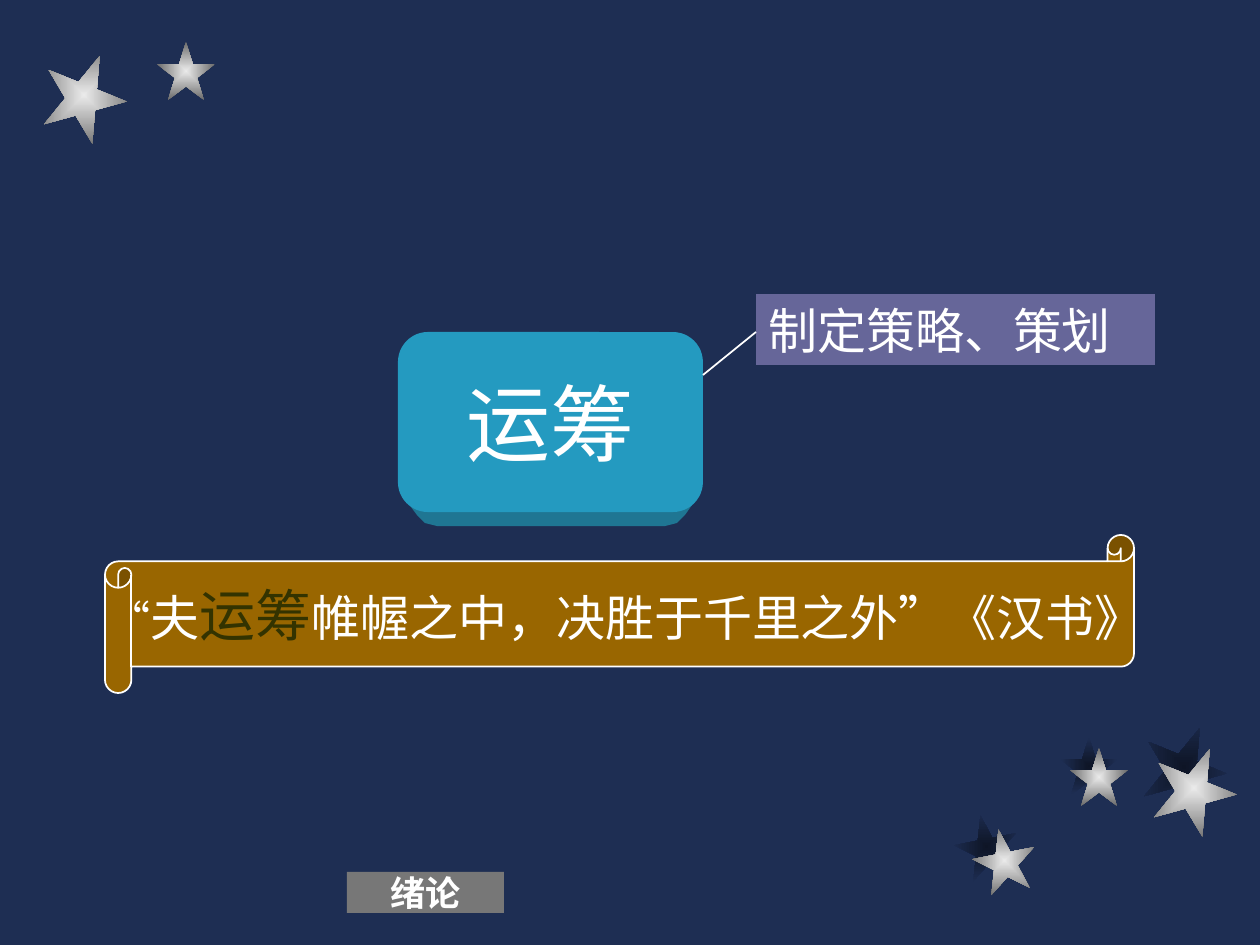
from dataclasses import dataclass

from lxml import etree
from pptx import Presentation
from pptx.dml.color import RGBColor
from pptx.enum.shapes import MSO_CONNECTOR, MSO_SHAPE as SHAPE
from pptx.enum.text import MSO_ANCHOR as ANCHOR, PP_ALIGN as ALIGN
from pptx.oxml import parse_xml
from pptx.oxml.ns import nsdecls, qn
from pptx.util import Pt

SCALE = 914400 / 126


@dataclass(frozen=True)
class Theme:
    font: str = "Times New Roman"
    background: str = "1E2E53"
    star: tuple = ("EAEAEA", "6C6C6C")
    star_shadow: tuple = ("0E1526", "1E2E53")
    footer: str = "777777"
    term: str = "249AC0"
    term_depth: str = "1F7693"
    meaning: str = "666699"
    scroll: str = "996600"
    emphasis: str = "333300"
    white: str = "FFFFFF"
    term_size: int = 48
    emphasis_size: int = 32
    body_size: int = 28
    quote_size: int = 24
    footer_size: int = 20


theme = Theme()


def px(value):
    return round(value * SCALE)


def add_panel(preset, box, fill, runs, wrap=True):
    """Add a filled shape holding runs of (text, size, colour)."""
    shape = slide.shapes.add_shape(preset, *map(px, box))
    shape.shadow.inherit = False
    shape.fill.solid()
    shape.fill.fore_color.rgb = RGBColor.from_string(fill)
    shape.line.fill.background()
    frame = shape.text_frame
    frame.word_wrap = wrap
    frame.vertical_anchor = ANCHOR.MIDDLE
    paragraph = frame.paragraphs[0]
    paragraph.alignment = ALIGN.CENTER
    for text, size, color in runs:
        run = paragraph.add_run()
        run.text = text
        run.font.name = theme.font
        run.font.size = Pt(size)
        run.font.color.rgb = RGBColor.from_string(color)
    return shape


presentation = Presentation()
presentation.slide_width, presentation.slide_height = px(1260), px(945)
slide = presentation.slides.add_slide(presentation.slide_layouts[6])
slide.background.fill.solid()
slide.background.fill.fore_color.rgb = RGBColor.from_string(theme.background)

# Stars: left, top, size, rotation, colours from centre to edge
stars = [
    (955, 815, 63, 349, theme.star_shadow),
    (1060, 737, 58, 0, theme.star_shadow),
    (1142, 725, 84, 22, theme.star_shadow),
    (973, 829, 63, 349, theme.star),
    (1070, 748, 58, 0, theme.star),
    (1152, 746, 84, 22, theme.star),
    (42, 53, 84, 22, theme.star),
    (157, 42, 58, 0, theme.star),
]
for left, top, size, rotation, (centre, edge) in stars:
    star = slide.shapes.add_shape(SHAPE.STAR_5_POINT, px(left), px(top), px(size), px(size))
    star.rotation = rotation
    star.shadow.inherit = False
    star.line.fill.background()
    star._element.spPr.find(qn("a:prstGeom")).addnext(parse_xml(
        f'<a:gradFill {nsdecls("a")} rotWithShape="0"><a:gsLst>'
        f'<a:gs pos="0"><a:srgbClr val="{centre}"/></a:gs>'
        f'<a:gs pos="100000"><a:srgbClr val="{edge}"/></a:gs></a:gsLst>'
        '<a:path path="shape"><a:fillToRect l="50000" t="50000" r="50000" b="50000"/></a:path>'
        '</a:gradFill>'))

# Chapter label
footer = add_panel(SHAPE.RECTANGLE, (347, 872, 157, 41), theme.footer,
                   [("绪论", theme.footer_size, theme.white)], wrap=False)
footer.text_frame.paragraphs[0].runs[0].font.bold = True

# Central term with its lower edge in depth
outline = [(402, 495), (699, 495), (685, 515), (677, 523), (665, 526),
           (437, 526), (425, 523), (417, 515)]
builder = slide.shapes.build_freeform(*outline[0], scale=SCALE)
builder.add_line_segments(outline[1:], close=True)
depth = builder.convert_to_shape()
depth.shadow.inherit = False
depth.fill.solid()
depth.fill.fore_color.rgb = RGBColor.from_string(theme.term_depth)
depth.line.fill.background()
add_panel(SHAPE.FLOWCHART_ALTERNATE_PROCESS, (398, 332, 305, 180), theme.term,
          [("运筹", theme.term_size, theme.white)], wrap=False)

# Meaning and its leader line
meaning = add_panel(SHAPE.RECTANGLE, (756, 294, 399, 71), theme.meaning,
                    [("制定策略、策划", theme.body_size, theme.white)])
meaning.text_frame.vertical_anchor = ANCHOR.TOP
meaning.text_frame.paragraphs[0].alignment = ALIGN.LEFT
leader = slide.shapes.add_connector(MSO_CONNECTOR.STRAIGHT, px(703), px(375), px(756), px(332))
etree.SubElement(leader._element.spPr, qn("a:effectLst"))

# Quotation on a scroll
scroll = add_panel(SHAPE.HORIZONTAL_SCROLL, (105, 535, 1029, 158), theme.scroll, [
    ("“", theme.quote_size, theme.white),
    ("夫", theme.body_size, theme.white),
    ("运筹", theme.emphasis_size, theme.emphasis),
    ("帷幄之中，决胜于千里之外”《汉书》", theme.body_size, theme.white),
], wrap=False)
scroll.adjustments[0] = 0.167

for outlined in (leader, scroll):
    outlined.line.color.rgb = RGBColor.from_string(theme.white)
    outlined.line.width = Pt(1)

presentation.save("out.pptx")
